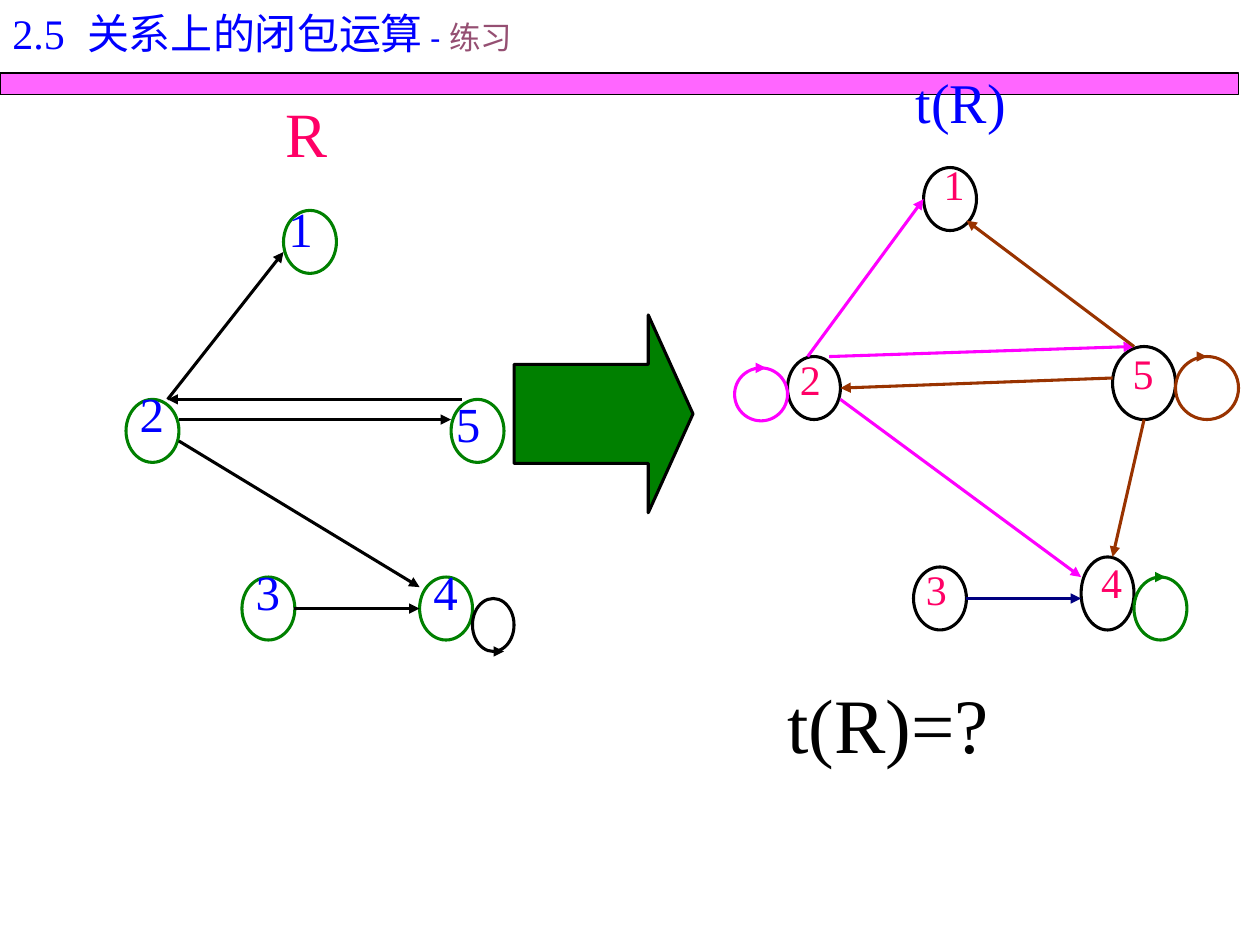
from dataclasses import dataclass

from pptx import Presentation
from pptx.dml.color import RGBColor
from pptx.enum.shapes import MSO_CONNECTOR as Connector, MSO_SHAPE as Preset
from pptx.enum.text import MSO_AUTO_SIZE as AutoSize
from pptx.oxml.ns import qn
from pptx.util import Inches, Pt
from lxml.etree import SubElement


@dataclass(frozen=True)
class Theme:
    black: str = "000000"
    blue: str = "0000FF"
    navy: str = "000080"
    green: str = "008000"
    magenta: str = "FF00FF"
    brown: str = "993300"
    pink: str = "FF0066"
    plum: str = "954F72"
    serif: str = "Times New Roman"
    sans: str = "Arial"
    stroke: float = 1.75
    thin: float = 0.75
    title: int = 24
    subtitle: int = 18
    relation_label: int = 28
    closure_label: int = 24
    relation_name: int = 36
    closure_name: int = 32
    question: int = 44
    spacing: float = 1.1


THEME = Theme()


def rgb(value):
    return RGBColor.from_string(value)


def add_outline(page, preset, bounds, color, fill=None, width=THEME.stroke):
    shape = page.shapes.add_shape(preset, *map(Inches, bounds))
    shape.shadow.inherit = False
    shape.line.color.rgb = rgb(color)
    shape.line.width = Pt(width)
    if fill:
        shape.fill.solid()
        shape.fill.fore_color.rgb = rgb(fill)
    else:
        shape.fill.background()
    return shape


def add_text(page, bounds, spans, wrap=False):
    """Each span is (text, size, color, font)."""
    box = page.shapes.add_textbox(*map(Inches, bounds))
    frame = box.text_frame
    frame.word_wrap = wrap
    frame.auto_size = AutoSize.SHAPE_TO_FIT_TEXT
    para = frame.paragraphs[0]
    para.line_spacing = THEME.spacing
    for text, size, color, font in spans:
        span = para.add_run()
        span.text = text
        span.font.size = Pt(size)
        span.font.color.rgb = rgb(color)
        span.font.name = font


def add_arrow(page, start, end, color):
    arrow = page.shapes.add_connector(Connector.STRAIGHT, *map(Inches, (*start, *end)))
    arrow.line.color.rgb = rgb(color)
    arrow.line.width = Pt(THEME.stroke)
    SubElement(arrow.line._get_or_add_ln(), qn("a:tailEnd"), type="triangle")
    SubElement(arrow._element.spPr, qn("a:effectLst"))


def add_node(page, bounds, outline, label, label_bounds, size, color):
    add_outline(page, Preset.OVAL, bounds, outline)
    add_text(page, label_bounds, [(label, size, color, THEME.serif)])


def add_loop(page, bounds, color, at_bottom=False):
    """A self-loop: an oval with a short arrow on its top or bottom edge."""
    left, top, _, height = bounds
    edge = top + height if at_bottom else top
    add_outline(page, Preset.OVAL, bounds, color)
    add_arrow(page, (left + 0.17, edge), (left + 0.25, edge), color)


def add_relation(page):
    # Nodes: label, oval corner, label corner
    nodes = [
        ("1", (2.25, 1.67), (2.19, 1.48)),
        ("2", (1, 3.17), (1.01, 2.95)),
        ("5", (3.58, 3.17), (3.52, 3.03)),
        ("3", (1.92, 4.58), (1.93, 4.36)),
        ("4", (3.33, 4.58), (3.34, 4.36)),
    ]
    for label, corner, label_corner in nodes:
        add_node(page, (*corner, 0.42, 0.5), THEME.green, label,
                 (*label_corner, 0.39, 0.8), THEME.relation_label, THEME.blue)

    # Edges
    edges = [
        ((1.33, 3.17), (2.25, 2)),
        ((1.42, 3.5), (3.33, 4.66)),
        ((1.42, 3.33), (3.58, 3.33)),
        ((2.33, 4.83), (3.33, 4.83)),
        ((3.67, 3.17), (1.33, 3.17)),
    ]
    for start, end in edges:
        add_arrow(page, start, end, THEME.black)
    add_loop(page, (3.75, 4.75, 0.33, 0.42), THEME.black, at_bottom=True)

    add_text(page, (2.17, 0.64, 0.56, 1),
             [("R", THEME.relation_name, THEME.pink, THEME.serif)])


def add_closure(page):
    # Nodes: label, oval bounds, label corner
    nodes = [
        ("1", (7.33, 1.33, 0.42, 0.5), (7.39, 1.17)),
        ("2", (6.25, 2.83, 0.42, 0.5), (6.25, 2.72)),
        ("5", (8.83, 2.75, 0.5, 0.58), (8.89, 2.67)),
        ("3", (7.25, 4.5, 0.42, 0.5), (7.25, 4.38)),
        ("4", (8.58, 4.42, 0.42, 0.58), (8.64, 4.33)),
    ]
    for label, bounds, label_corner in nodes:
        add_node(page, bounds, THEME.black, label,
                 (*label_corner, 0.36, 0.7), THEME.closure_label, THEME.pink)

    add_text(page, (7.17, 0.43, 0.96, 0.9),
             [("t(R)", THEME.closure_name, THEME.blue, THEME.serif)])

    # Edges, coloured by the node they leave
    edges = [
        ((6.41, 2.83), (7.33, 1.58), THEME.magenta),
        ((6.67, 3.17), (8.58, 4.58), THEME.magenta),
        ((6.58, 2.83), (9, 2.75), THEME.magenta),
        ((7.67, 4.75), (8.58, 4.75), THEME.navy),
        ((8.83, 3), (6.67, 3.08), THEME.brown),
        ((9, 2.75), (7.67, 1.75), THEME.brown),
        ((9.08, 3.33), (8.83, 4.42), THEME.brown),
    ]
    for start, end, color in edges:
        add_arrow(page, start, end, color)

    # Self-loops
    add_loop(page, (5.83, 2.92, 0.42, 0.42), THEME.magenta)
    add_loop(page, (9, 4.58, 0.42, 0.5), THEME.green)
    add_loop(page, (9.33, 2.83, 0.5, 0.5), THEME.brown)


def add_title_bar(page):
    bar = add_outline(page, Preset.RECTANGLE, (0, 0.58, 9.83, 0.17),
                      THEME.black, THEME.magenta, THEME.thin)
    fill_color = bar._element.spPr.find(qn("a:solidFill"))[0]
    SubElement(fill_color, qn("a:alpha"), val="60000")


def add_big_arrow(page):
    arrow = add_outline(page, Preset.RIGHT_ARROW, (4.08, 2.5, 1.42, 1.57),
                        THEME.black, THEME.green)
    arrow.adjustments[0] = 0.5
    arrow.adjustments[1] = 0.25


def main():
    deck = Presentation()
    deck.slide_width = Inches(10)
    deck.slide_height = Inches(7.5)
    page = deck.slides.add_slide(deck.slide_layouts[6])

    # Diagrams
    add_title_bar(page)
    add_relation(page)
    add_big_arrow(page)
    add_closure(page)

    # Question and title
    add_text(page, (6.15, 5.25, 3.35, 1.2),
             [("t(R)=?", THEME.question, THEME.black, THEME.serif)], wrap=True)
    add_text(page, (0, -0.03, 4.67, 0.71), [
        ("2.5 ", THEME.title, THEME.blue, THEME.serif),
        (" 关系上的闭包运算", THEME.title, THEME.blue, THEME.sans),
        (" - ", THEME.subtitle, THEME.blue, THEME.sans),
        ("练习", THEME.subtitle, THEME.plum, THEME.sans),
    ], wrap=True)

    deck.save("out.pptx")


if __name__ == "__main__":
    main()
